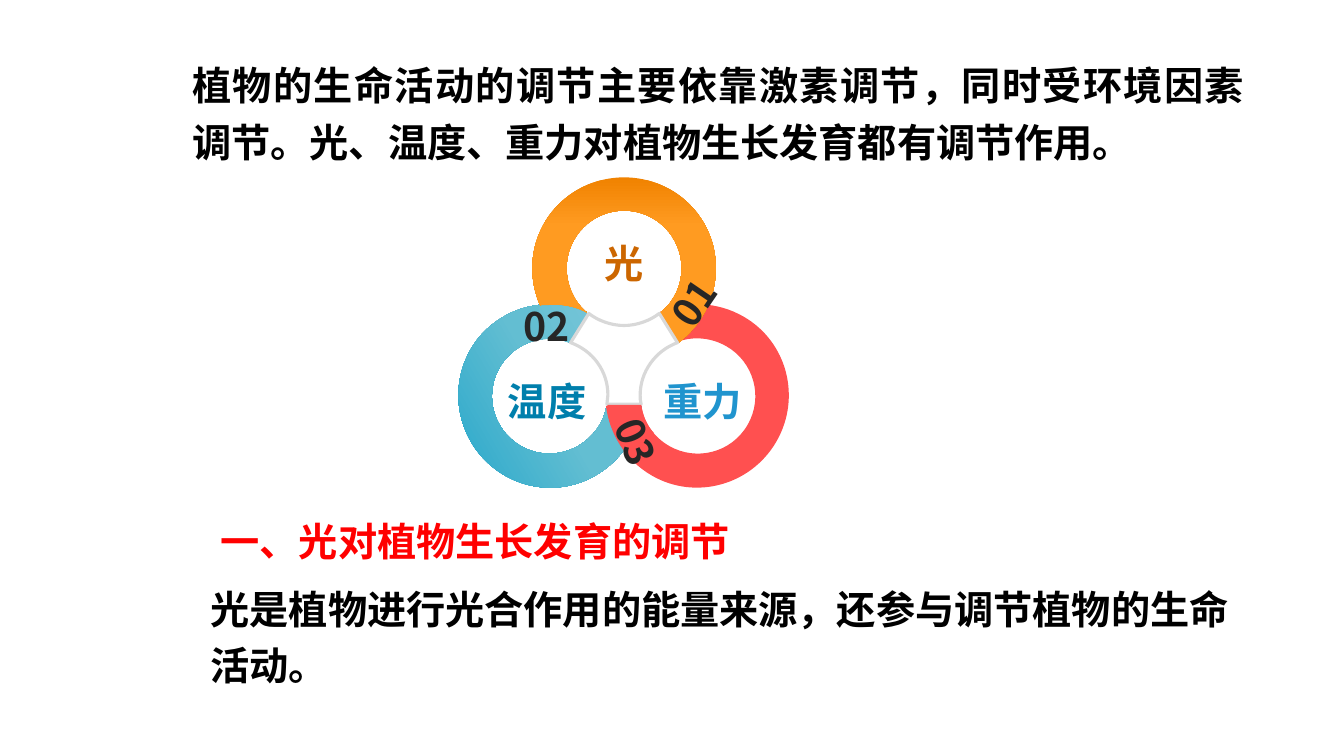
from lxml.etree import Element, SubElement
from pptx import Presentation
from pptx.dml.color import RGBColor
from pptx.enum.text import MSO_AUTO_SIZE as AutoSize, PP_ALIGN as Align
from pptx.oxml.ns import qn
from pptx.util import Inches, Pt

BLACK = RGBColor(0x00, 0x00, 0x00)
WHITE = RGBColor(0xFF, 0xFF, 0xFF)
HEADING_RED = RGBColor(0xFF, 0x00, 0x00)
NUMBER_GREY = RGBColor(0x26, 0x26, 0x26)
BORDER_GREY = RGBColor(0xD8, 0xD8, 0xD8)
RING_RED = RGBColor(0xFF, 0x50, 0x50)
DARK_ORANGE = RGBColor(0xF0, 0x82, 0x00)
ORANGE = RGBColor(0xFF, 0x9B, 0x21)
DEEP_BLUE = RGBColor(0x14, 0xA0, 0xC8)
BLUE = RGBColor(0x63, 0xBE, 0xD2)
PALE_BLUE = RGBColor(0x76, 0xC5, 0xD8)
LIGHT_LABEL = RGBColor(0xCC, 0x66, 0x00)
WARMTH_LABEL = RGBColor(0x00, 0x7F, 0xAC)
GRAVITY_LABEL = RGBColor(0x20, 0x94, 0xCE)

RING = [
    (0, -0.82), (0.5, -0.82, 0.91, -0.42, 0.91, 0.08),
    (0.91, 0.39, 0.76, 0.65, 0.54, 0.82), (0.36, 0.52),
    (0.49, 0.42, 0.57, 0.26, 0.57, 0.08),
    (0.57, -0.23, 0.32, -0.49, 0, -0.49),
    (-0.32, -0.49, -0.57, -0.23, -0.57, 0.08),
    (-0.57, 0.26, -0.49, 0.42, -0.37, 0.52), (-0.54, 0.82),
    (-0.76, 0.65, -0.91, 0.39, -0.91, 0.08),
    (-0.91, -0.42, -0.5, -0.82, 0, -0.82),
]
OVERLAP = [
    (0.2, -0.04), (0.14, 0.09, 0.05, 0.2, -0.07, 0.27), (-0.24, -0.02),
    (-0.16, -0.08, -0.09, -0.17, -0.06, -0.27), (0.23, -0.11),
    (0.23, -0.08, 0.21, -0.06, 0.2, -0.04),
]
HUB = [
    (-0.35, -0.45), (-0.26, -0.38, -0.13, -0.33, 0, -0.33),
    (0.13, -0.33, 0.26, -0.38, 0.35, -0.45), (0.53, -0.16),
    (0.31, -0.08, 0.16, 0.13, 0.16, 0.36),
    (0.16, 0.39, 0.16, 0.42, 0.17, 0.45), (-0.17, 0.45), (-0.16, 0.36),
    (-0.16, 0.12, -0.31, -0.08, -0.53, -0.16),
]


class SlideBuilder:
    """Draws styled text and curved outlines on one slide."""

    font_name = "Noto Sans CJK SC"
    font_size = Pt(28)

    def __init__(self, slide):
        self.slide = slide

    def text(self, wording, left, top, width, height, color,
             align=Align.LEFT, spacing=None, rotation=0):
        """Add a bold text box."""
        box = self.slide.shapes.add_textbox(
            Inches(left), Inches(top), Inches(width), Inches(height))
        box.rotation = rotation
        frame = box.text_frame
        frame.word_wrap = True
        frame.auto_size = AutoSize.SHAPE_TO_FIT_TEXT
        paragraph = frame.paragraphs[0]
        paragraph.text = wording
        paragraph.alignment = align
        paragraph.line_spacing = spacing
        font = paragraph.font
        font.size, font.bold, font.name = self.font_size, True, self.font_name
        font.color.rgb = color
        properties = paragraph._p.get_or_add_pPr().find(qn("a:defRPr"))
        SubElement(properties, qn("a:ea"), typeface=self.font_name)

    def outline(self, outline, center_x, center_y, colors, rotation=0,
                gradient_end=1, border=None):
        """Add a closed outline of lines and cubic curves, filled plain or with a gradient."""
        corners = [(Inches(center_x + segment[-2]), Inches(center_y + segment[-1]))
                   for segment in outline]
        builder = self.slide.shapes.build_freeform(*corners[0])
        builder.add_line_segments(corners[1:], close=True)
        shape = builder.convert_to_shape()
        lines = list(shape._element.iter(qn("a:lnTo")))
        for line, segment in zip(lines, outline[1:]):
            if len(segment) == 6:
                line.tag = qn("a:cubicBezTo")
                for index in (0, 1):
                    x, y = segment[2 * index:2 * index + 2]
                    line.insert(index, Element(
                        qn("a:pt"), x=str(Inches(center_x + x) - shape.left),
                        y=str(Inches(center_y + y) - shape.top)))
        shape.shadow.inherit = False
        shape.rotation = rotation
        if len(colors) == 1:
            shape.fill.solid()
            shape.fill.fore_color.rgb = colors[0]
        else:
            shape.fill.gradient()
            shape.fill.gradient_angle = 270
            for stop, color, position in zip(
                    shape.fill.gradient_stops, colors, (0, gradient_end)):
                stop.color.rgb = color
                stop.position = position
        if border:
            shape.line.color.rgb = border
            shape.line.width = Pt(2.25)
        else:
            shape.line.fill.background()


def main():
    """Build the slide on plant growth regulation."""
    presentation = Presentation()
    presentation.slide_width, presentation.slide_height = Inches(13.33), Inches(7.5)
    slide = presentation.slides.add_slide(presentation.slide_layouts[6])
    builder = SlideBuilder(slide)

    builder.text("植物的生命活动的调节主要依靠激素调节，同时受环境因素调节。"
                 "光、温度、重力对植物生长发育都有调节作用。",
                 1.81, 0.47, 10.63, 1.23, BLACK, Align.JUSTIFY, 1.2)
    builder.text("光是植物进行光合作用的能量来源，还参与调节植物的生命活动。",
                 1.99, 5.66, 10.47, 1.23, BLACK, spacing=1.2)
    builder.text("一、光对植物生长发育的调节", 2.09, 5.08, 6.31, 0.57, HEADING_RED)

    builder.outline(RING, 5.38, 3.97, (DEEP_BLUE, BLUE), 240, 0.53)
    builder.outline(RING, 6.99, 3.97, (RING_RED,), 120)
    builder.outline(RING, 6.19, 2.58, (DARK_ORANGE, ORANGE), 0, 0.29)
    builder.outline(OVERLAP, 5.56, 3.19, (BLUE, PALE_BLUE), 240)
    builder.text("01", 6.49, 2.72, 0.78, 0.57, NUMBER_GREY, Align.CENTER, rotation=304.3)
    builder.text("02", 5.09, 2.95, 0.67, 0.57, NUMBER_GREY, Align.CENTER)
    builder.outline(HUB, 6.19, 3.56, (WHITE,), border=BORDER_GREY)
    builder.outline(OVERLAP, 6.23, 4.21, (RING_RED,), 120)
    builder.text("03", 5.96, 4.1, 0.7, 0.57, NUMBER_GREY, Align.CENTER, rotation=67.6)

    for label, left, top, width, color in (
            ("光", 5.9, 2.33, 0.47, LIGHT_LABEL),
            ("温度", 4.94, 3.69, 1.03, WARMTH_LABEL),
            ("重力", 6.48, 3.69, 1, GRAVITY_LABEL)):
        builder.text(label, left, top, width, 0.57, color)

    presentation.save("out.pptx")


if __name__ == "__main__":
    main()
